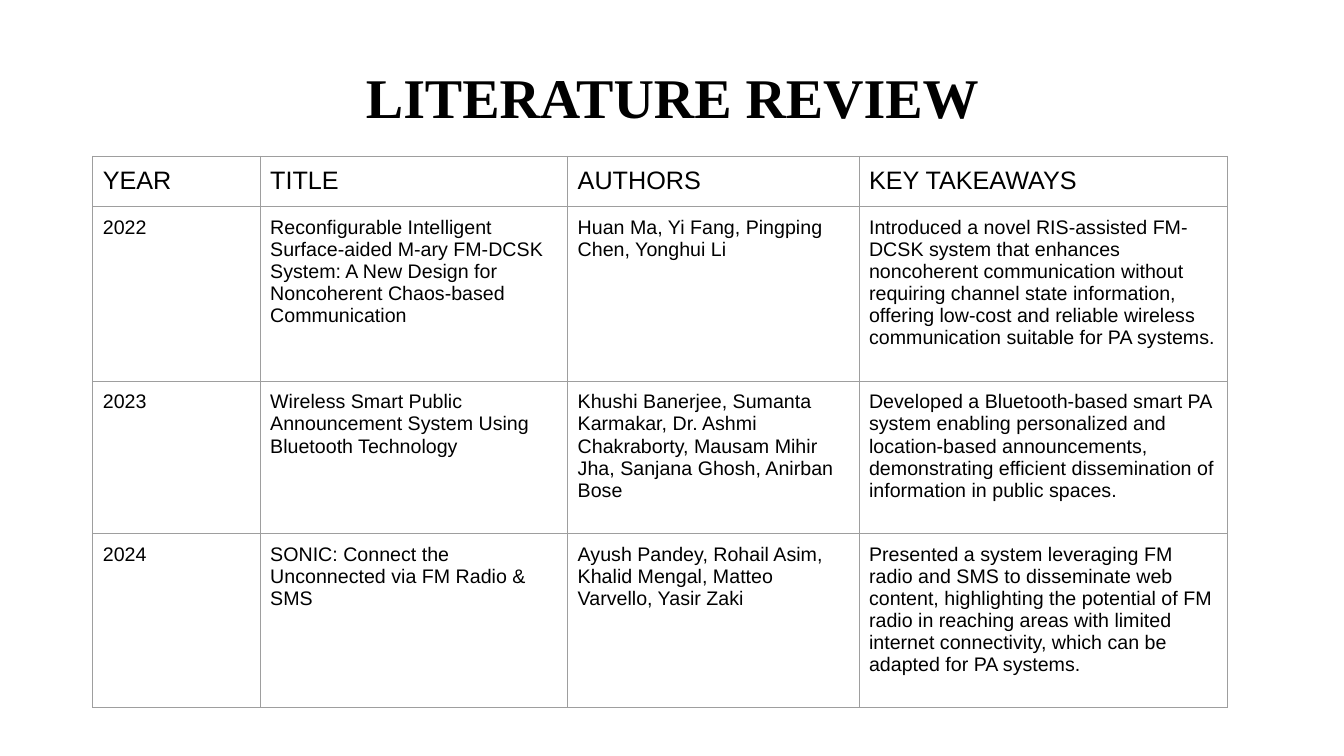
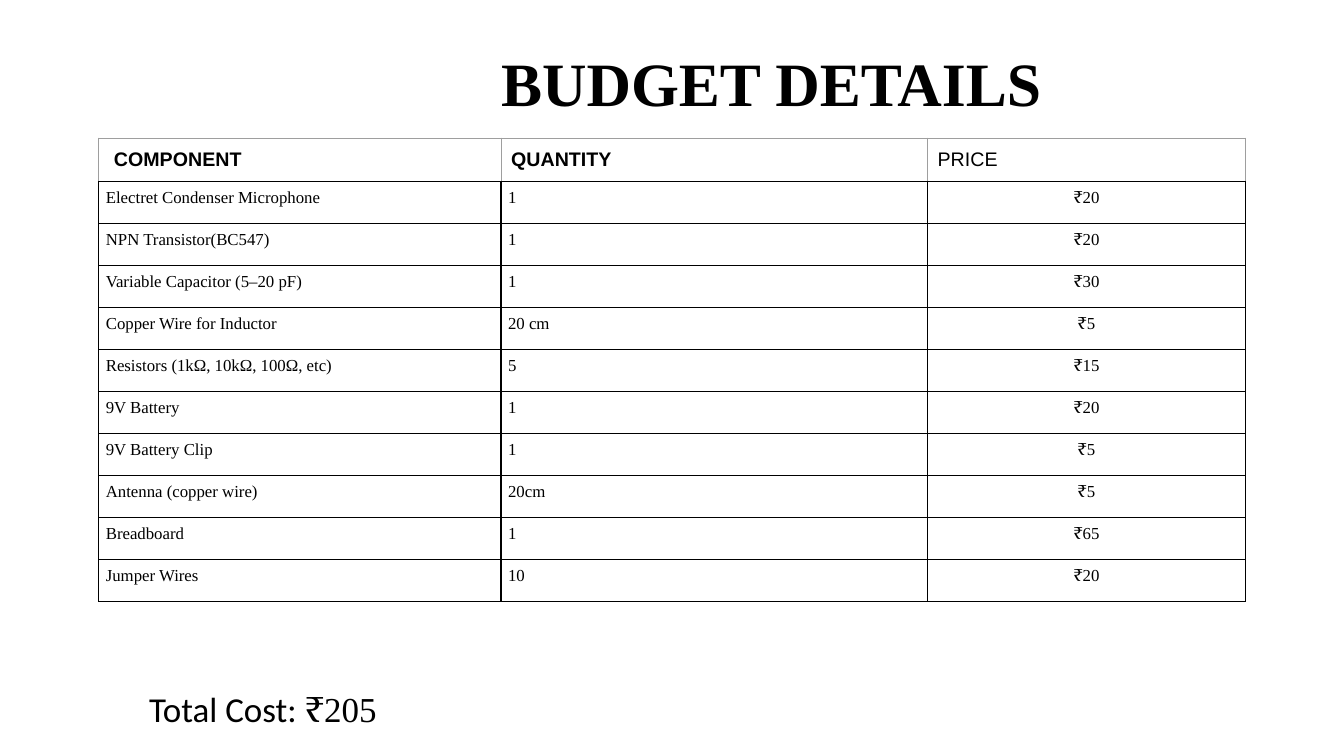
from pptx import Presentation
from pptx.dml.color import RGBColor as RGB
from pptx.enum.text import MSO_ANCHOR as Anchor, PP_ALIGN as Align
from pptx.oxml import parse_xml
from pptx.oxml.ns import nsdecls
from pptx.util import Inches, Pt

COLOR = {"text": "000000", "back": "FFFFFF", "gray": "9E9E9E", "black": "000000"}
SANS, SERIF, BODY = "Arial", "Times New Roman", "Calibri"
THIN, DARK = ("gray", 0.75), ("black", 1)

REVIEW = [
    ("YEAR", "TITLE", "AUTHORS", "KEY TAKEAWAYS"),
    ("2022",
     "Reconfigurable Intelligent Surface-aided M-ary FM-DCSK System: "
     "A New Design for Noncoherent Chaos-based Communication",
     "Huan Ma, Yi Fang, Pingping Chen, Yonghui Li",
     "Introduced a novel RIS-assisted FM-DCSK system that enhances noncoherent "
     "communication without requiring channel state information, offering low-cost "
     "and reliable wireless communication suitable for PA systems."),
    ("2023",
     "Wireless Smart Public Announcement System Using Bluetooth Technology",
     "Khushi Banerjee, Sumanta Karmakar, Dr. Ashmi Chakraborty, Mausam Mihir Jha, "
     "Sanjana Ghosh, Anirban Bose",
     "Developed a Bluetooth-based smart PA system enabling personalized and "
     "location-based announcements, demonstrating efficient dissemination of "
     "information in public spaces."),
    ("2024",
     "SONIC: Connect the Unconnected via FM Radio & SMS",
     "Ayush Pandey, Rohail Asim, Khalid Mengal, Matteo Varvello, Yasir Zaki",
     "Presented a system leveraging FM radio and SMS to disseminate web content, "
     "highlighting the potential of FM radio in reaching areas with limited internet "
     "connectivity, which can be adapted for PA systems."),
]

BUDGET = [
    ("COMPONENT", "QUANTITY", "PRICE"),
    ("Electret Condenser Microphone", "1", "₹20"),
    ("NPN Transistor(BC547)", "1", "₹20"),
    ("Variable Capacitor (5–20 pF)", "1", "₹30"),
    ("Copper Wire for Inductor", "20 cm", "₹5"),
    ("Resistors (1kΩ, 10kΩ, 100Ω, etc)", "5", "₹15"),
    ("9V Battery", "1", "₹20"),
    ("9V Battery Clip", "1", "₹5"),
    ("Antenna (copper wire)", "20cm", "₹5"),
    ("Breadboard", "1", "₹65"),
    ("Jumper Wires", "10", "₹20"),
]


def add_run(para, text, font, size, bold=False):
    run = para.add_run()
    run.text = text
    run.font.name = font
    run.font.size = Pt(size)
    run.font.bold = bold
    run.font.color.rgb = RGB.from_string(COLOR["text"])


def add_box(slide, box):
    frame = slide.shapes.add_textbox(*map(Inches, box)).text_frame
    frame.word_wrap = True
    return frame


def add_title(slide, box, text, size, align=Align.CENTER, indent=0):
    frame = add_box(slide, box)
    frame.vertical_anchor = Anchor.MIDDLE
    frame.margin_left = Inches(0.1 + indent)
    para = frame.paragraphs[0]
    para.alignment = align
    para.line_spacing = 0.9
    add_run(para, text, SERIF, size, True)


def add_total(slide, box, label, value):
    frame = add_box(slide, box)
    frame.margin_top = frame.margin_bottom = Inches(0.1)
    para = frame.paragraphs[0]
    add_run(para, label, BODY, 25)
    add_run(para, value, SERIF, 25)


def set_lines(cell, lines):
    props = cell._tc.get_or_add_tcPr()
    for pos, (side, (color, width)) in enumerate(zip("LRTB", lines)):
        props.insert(pos, parse_xml(
            f'<a:ln{side} {nsdecls("a")} w="{Pt(width)}"><a:solidFill>'
            f'<a:srgbClr val="{COLOR[color]}"/></a:solidFill></a:ln{side}>'))


def fill_cell(cell, text, font, size, pad, lines, bold=False, align=Align.LEFT, left=None):
    cell.fill.background()
    cell.margin_right = cell.margin_top = cell.margin_bottom = Inches(pad)
    cell.margin_left = Inches(left or pad)
    para = cell.text_frame.paragraphs[0]
    para.alignment = align
    add_run(para, text, font, size, bold)
    set_lines(cell, lines)


def add_grid(slide, left, top, cols, rows):
    box = map(Inches, (left, top, sum(cols), sum(rows)))
    table = slide.shapes.add_table(len(rows), len(cols), *box).table
    table.first_row = table.horz_banding = False
    for col, width in zip(table.columns, cols):
        col.width = Inches(width)
    for row, height in zip(table.rows, rows):
        row.height = Inches(height)
    return table


def add_review(slide, left, top):
    table = add_grid(slide, left, top, (1.66, 3.05, 2.89, 3.65), (0.48, 1.73, 1.51, 1.73))
    for r, row in enumerate(REVIEW):
        for c, text in enumerate(row):
            fill_cell(table.cell(r, c), text, SANS, 14 if r else 18, 0.1, [THIN] * 4)


def add_budget(slide, left, top, height):
    count = len(BUDGET)
    table = add_grid(slide, left, top, (3.99, 4.23, 3.15), [height / count] * count)
    last = len(BUDGET[0]) - 1
    for c, text in enumerate(BUDGET[0]):
        fill_cell(table.cell(0, c), text, SANS, 14, 0.1, [THIN] * 3 + [DARK],
                  bold=c < last, left=0.1 if c else 0.15)
    for r, row in enumerate(BUDGET[1:], 1):
        for c, text in enumerate(row):
            fill_cell(table.cell(r, c), text, SERIF, 12, 0.07, [DARK] * 4,
                      align=Align.CENTER if c == last else Align.LEFT)


def new_slide(deck):
    slide = deck.slides.add_slide(deck.slide_layouts[6])
    fill = slide.background.fill
    fill.solid()
    fill.fore_color.rgb = RGB.from_string(COLOR["back"])
    return slide


def main():
    deck = Presentation()
    deck.slide_width, deck.slide_height = Inches(13.33), Inches(7.5)

    slide = new_slide(deck)
    add_title(slide, (0.92, 0.27, 11.5, 1.45), "LITERATURE REVIEW", 40)
    add_review(slide, 0.92, 1.55)

    slide = new_slide(deck)
    add_title(slide, (0.92, 0.4, 11.5, 0.92), "BUDGET DETAILS", 44, Align.LEFT, 3.95)
    add_budget(slide, 0.98, 1.37, 4.58)
    add_total(slide, (1.38, 6.72, 7.2, 0.54), "Total Cost: ", "₹205")

    deck.save("out.pptx")


if __name__ == "__main__":
    main()
